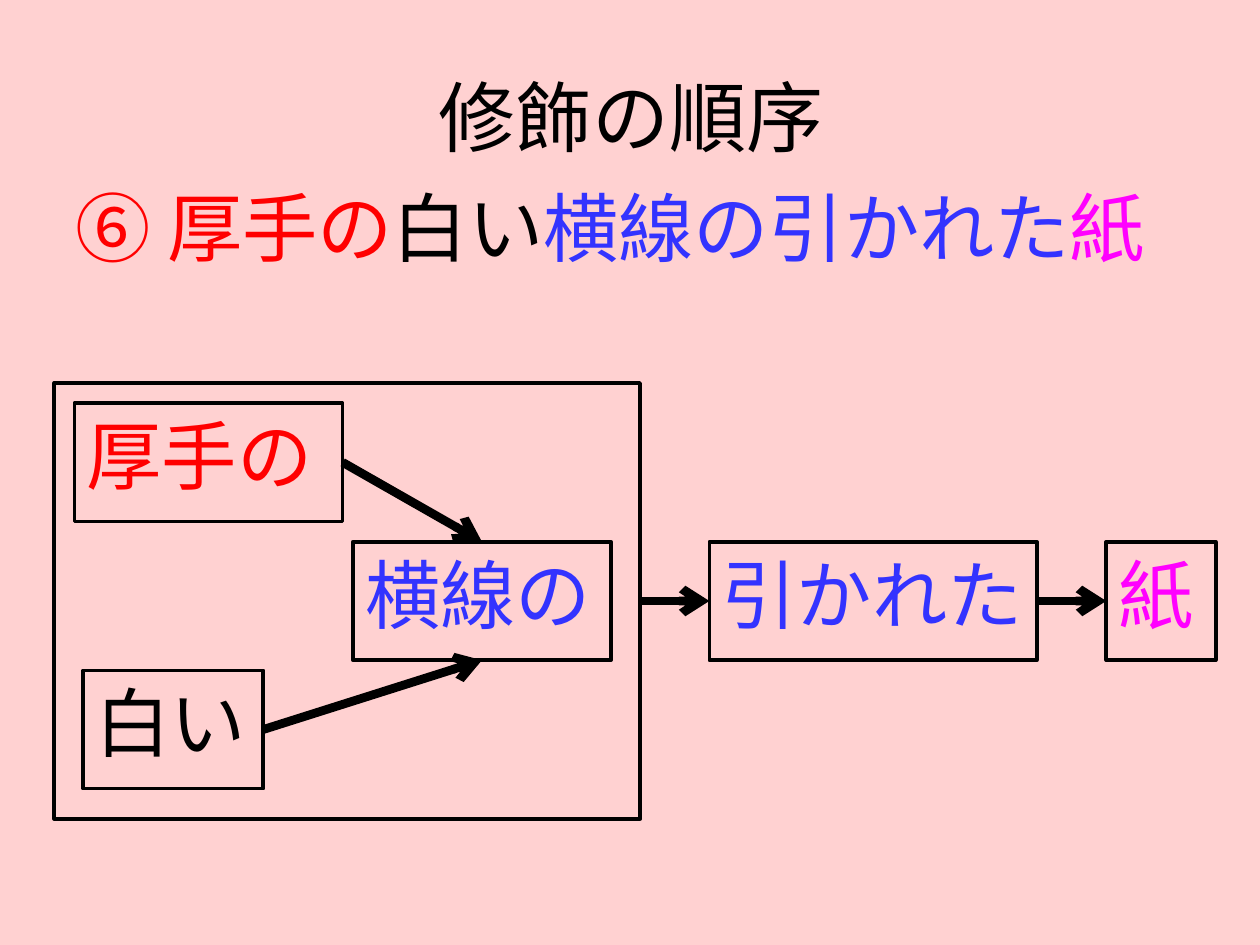
from pptx import Presentation
from pptx.dml.color import RGBColor
from pptx.enum.shapes import MSO_CONNECTOR, MSO_SHAPE
from pptx.enum.text import MSO_ANCHOR, PP_ALIGN
from pptx.oxml.ns import qn
from pptx.util import Inches, Pt
from lxml.etree import SubElement

COLORS = {"background": "FFD1D1", "black": "000000", "red": "FF0000",
          "blue": "3333FF", "magenta": "FF00FF"}
BODY_FONT, TITLE_FONT = "Noto Sans CJK JP", "Calibri"

TITLE = [("修飾の順序", "black")]
PHRASE = [("⑥ 厚手の", "red"), ("白い", "black"),
          ("横線の引かれた", "blue"), ("紙", "magenta")]

# Word, colour, left, top, width
WORD_HEIGHT = 0.94
MAIN_TOP = 4.3
WORDS = [
    ("白い", "black", 0.66, 5.32, 1.43),
    ("横線の", "blue", 2.8, MAIN_TOP, 2.05),
    ("引かれた", "blue", 5.63, MAIN_TOP, 2.6),
    ("厚手の", "red", 0.59, 3.2, 2.13),
    ("紙", "magenta", 8.78, MAIN_TOP, 0.87),
]
GROUP = (0.43, 3.04, 4.65, 3.46)

# Modifier, modified word, side of the modified word that the arrow meets
ARROWS = [("白い", "横線の", "bottom"), ("group", "引かれた", "left"),
          ("引かれた", "紙", "left"), ("厚手の", "横線の", "top")]


def rgb(color):
    return RGBColor.from_string(COLORS[color])


def write(frame, runs, size, font, align=PP_ALIGN.LEFT):
    frame.word_wrap = True
    paragraph = frame.paragraphs[0]
    paragraph.alignment = align
    for text, color in runs:
        run = paragraph.add_run()
        run.text = text
        run.font.size = Pt(size)
        run.font.name = font
        run.font.color.rgb = rgb(color)
        if font == BODY_FONT:
            SubElement(run.font._element, qn("a:ea")).set("typeface", font)


def add_outline(slide, box):
    outline = slide.shapes.add_shape(MSO_SHAPE.RECTANGLE, *map(Inches, box))
    outline.shadow.inherit = False
    outline.fill.background()
    outline.line.color.rgb = rgb("black")
    outline.line.width = Pt(2)
    return outline


def side_point(box, side):
    """Middle of one side of a box."""
    left, top, width, height = box
    return {"left": (left, top + height / 2),
            "right": (left + width, top + height / 2),
            "top": (left + width / 2, top),
            "bottom": (left + width / 2, top + height)}[side]


def add_arrow(slide, start, end):
    arrow = slide.shapes.add_connector(
        MSO_CONNECTOR.STRAIGHT, *map(Inches, (*start, *end)))
    arrow.line.color.rgb = rgb("black")
    arrow.line.width = Pt(5)
    SubElement(arrow.line._get_or_add_ln(), qn("a:tailEnd")).set("type", "arrow")
    SubElement(arrow._element.spPr, qn("a:effectLst"))


def main():
    deck = Presentation()
    deck.slide_width, deck.slide_height = Inches(10), Inches(7.5)
    slide = deck.slides.add_slide(deck.slide_layouts[6])
    slide.background.fill.solid()
    slide.background.fill.fore_color.rgb = rgb("background")

    title = slide.shapes.add_textbox(*map(Inches, (0.51, 0.29, 9, 1.25)))
    title.text_frame.vertical_anchor = MSO_ANCHOR.MIDDLE
    write(title.text_frame, TITLE, 44, TITLE_FONT, PP_ALIGN.CENTER)

    boxes = {"group": GROUP}
    add_outline(slide, GROUP)
    for word, color, left, top, width in WORDS:
        boxes[word] = (left, top, width, WORD_HEIGHT)
        frame = add_outline(slide, boxes[word]).text_frame
        frame.vertical_anchor = MSO_ANCHOR.TOP
        write(frame, [(word, color)], 43, BODY_FONT)

    for modifier, modified, side in ARROWS:
        add_arrow(slide, side_point(boxes[modifier], "right"),
                  side_point(boxes[modified], side))

    phrase = slide.shapes.add_textbox(*map(Inches, (0.5, 1.39, 9, 1.02)))
    write(phrase.text_frame, PHRASE, 43, BODY_FONT)

    deck.save("out.pptx")


if __name__ == "__main__":
    main()
